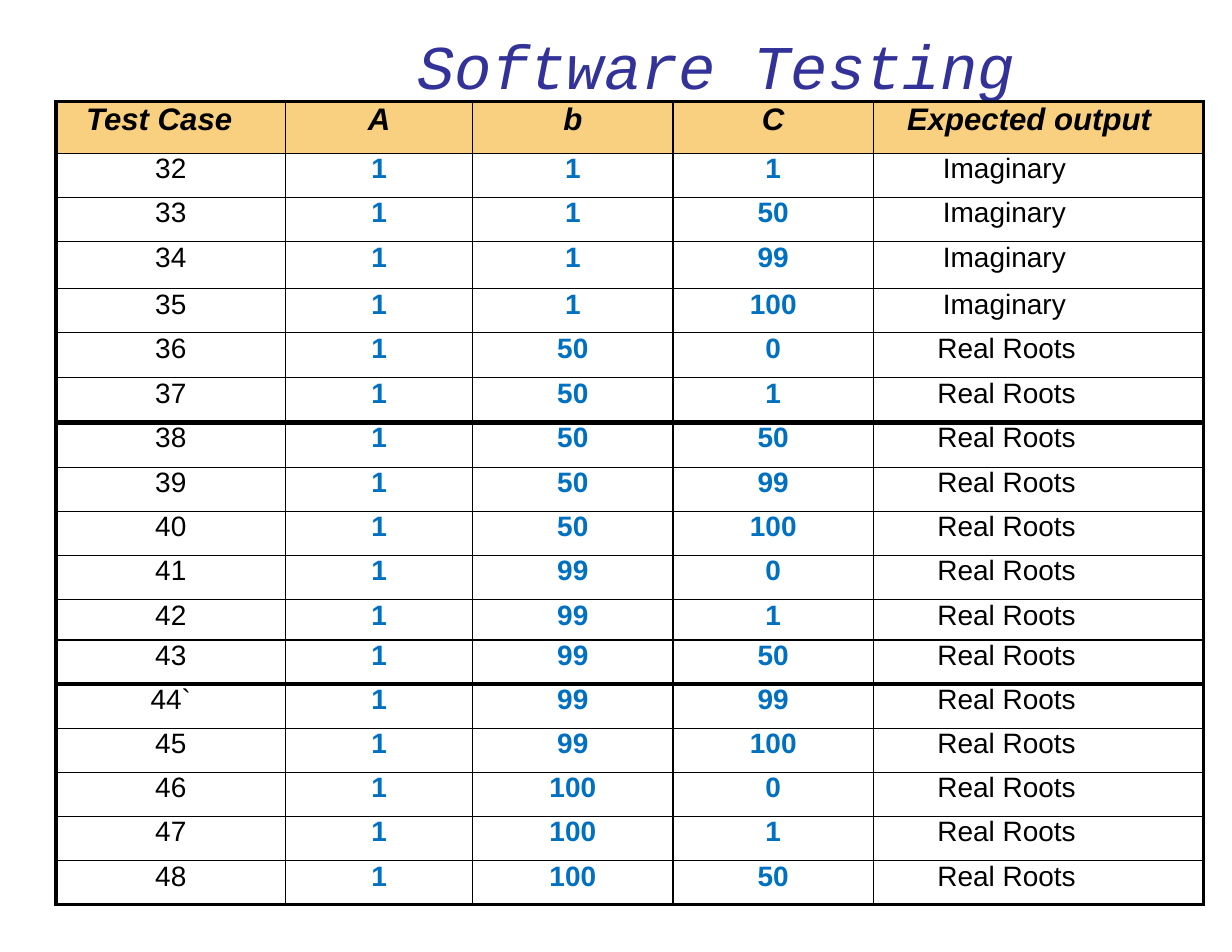
from itertools import islice, product

from lxml import etree
from pptx import Presentation
from pptx.dml.color import RGBColor
from pptx.enum.text import MSO_ANCHOR as Anchor, PP_ALIGN as Align
from pptx.oxml.ns import qn
from pptx.util import Inches, Pt

BLACK = RGBColor(0x00, 0x00, 0x00)
BLUE = RGBColor(0x00, 0x70, 0xC0)
INDIGO = RGBColor(0x32, 0x32, 0x99)
SAND = RGBColor(0xF8, 0xD0, 0x7F)

HEADINGS = ["Test Case", "A", "b", "C", "Expected output"]
COLUMN_WIDTHS = [2.05, 1.67, 1.79, 1.79, 2.95]
TABLE_HEIGHT = 7.17
SPECIAL_HEIGHTS = {0: 0.46, 3: 0.42, 5: 0.4, 6: 0.4, 7: 0.4, 11: 0.36}
OUTPUT_INDENTS = {"Expected output": 0.3, "Imaginary": 0.62, "Real Roots": 0.57}

# Line widths in points; the keys of HEAVY_RULES are the rows above the rule
THIN, OUTER = 1, 2.25
HEAVY_RULES = {6: 3.09, 12: 2.61}


def build_cases():
    """Test cases 32 to 48: boundary values of b and c, with a fixed at 1."""
    a = 1
    pairs = product((1, 50, 99, 100), (0, 1, 50, 99, 100))
    cases = []
    for number, (b, c) in enumerate(islice(pairs, 1, 18), start=32):
        label = "44`" if number == 44 else str(number)
        output = "Imaginary" if b * b < 4 * a * c else "Real Roots"
        cases.append([label, str(a), str(b), str(c), output])
    return cases


def write_line(para, text, size, color, font="Arial", bold=False, italic=False,
               indent=None):
    para.text = text
    if indent is None:
        para.alignment = Align.CENTER
    else:
        para.alignment = Align.LEFT
        props = para._p.get_or_add_pPr()
        props.set("marL", str(Inches(indent)))
        props.set("indent", "0")
    for span in para.runs:
        span.font.name = font
        span.font.size = Pt(size)
        span.font.bold = bold
        span.font.italic = italic
        span.font.color.rgb = color


def set_borders(cell, **widths):
    props = cell._tc.get_or_add_tcPr()
    for side in ("L", "R", "T", "B"):
        line = etree.SubElement(props, qn(f"a:ln{side}"), w=str(Pt(widths[side])))
        fill = etree.SubElement(line, qn("a:solidFill"))
        etree.SubElement(fill, qn("a:srgbClr"), val=str(BLACK))


def rule_below(row, last_row):
    """Width of the rule under a row; row -1 stands for the top edge."""
    if row in (-1, last_row):
        return OUTER
    return HEAVY_RULES.get(row, THIN)


def add_title(page, text):
    box = page.shapes.add_textbox(Inches(0.83), Inches(0), Inches(9.16), Inches(0.91))
    frame = box.text_frame
    frame.word_wrap = True
    frame.margin_left = frame.margin_right = frame.margin_bottom = 0
    frame.margin_top = Inches(0.24)
    write_line(frame.paragraphs[0], text, 40, INDIGO, "Courier New",
               italic=True, indent=2.9)


def fill_cell(cell, text, row, column):
    cell.margin_left = cell.margin_right = cell.margin_top = cell.margin_bottom = 0
    cell.vertical_anchor = Anchor.TOP
    para = cell.text_frame.paragraphs[0]
    indent = OUTPUT_INDENTS.get(text)
    if row == 0:
        if column == 0:
            indent = 0.27
        write_line(para, text, 20, BLACK, bold=True, italic=True, indent=indent)
        cell.fill.solid()
        cell.fill.fore_color.rgb = SAND
    else:
        is_input = 1 <= column <= 3
        write_line(para, text, 18, BLUE if is_input else BLACK,
                   bold=is_input, indent=indent)
        cell.fill.background()


def add_case_table(page, rows):
    table = page.shapes.add_table(
        len(rows), len(HEADINGS), Inches(0.5), Inches(0.91),
        Inches(sum(COLUMN_WIDTHS)), Inches(TABLE_HEIGHT)).table
    table.first_row = table.horz_banding = False

    # Ordinary rows share what the special rows leave
    free_height = TABLE_HEIGHT - sum(SPECIAL_HEIGHTS.values())
    usual_height = free_height / (len(rows) - len(SPECIAL_HEIGHTS))
    for index, row in enumerate(table.rows):
        row.height = Inches(SPECIAL_HEIGHTS.get(index, usual_height))
    for column, width in zip(table.columns, COLUMN_WIDTHS):
        column.width = Inches(width)

    last_row, last_column = len(rows) - 1, len(HEADINGS) - 1
    for row, texts in enumerate(rows):
        for column, text in enumerate(texts):
            cell = table.cell(row, column)
            set_borders(cell,
                        L=OUTER if column == 0 else THIN,
                        R=OUTER if column == last_column else THIN,
                        T=rule_below(row - 1, last_row),
                        B=rule_below(row, last_row))
            fill_cell(cell, text, row, column)


def main():
    deck = Presentation()
    deck.slide_width, deck.slide_height = Inches(11), Inches(8.5)
    page = deck.slides.add_slide(deck.slide_layouts[6])
    add_title(page, "Software Testing")
    add_case_table(page, [HEADINGS] + build_cases())
    deck.save("out.pptx")


if __name__ == "__main__":
    main()
